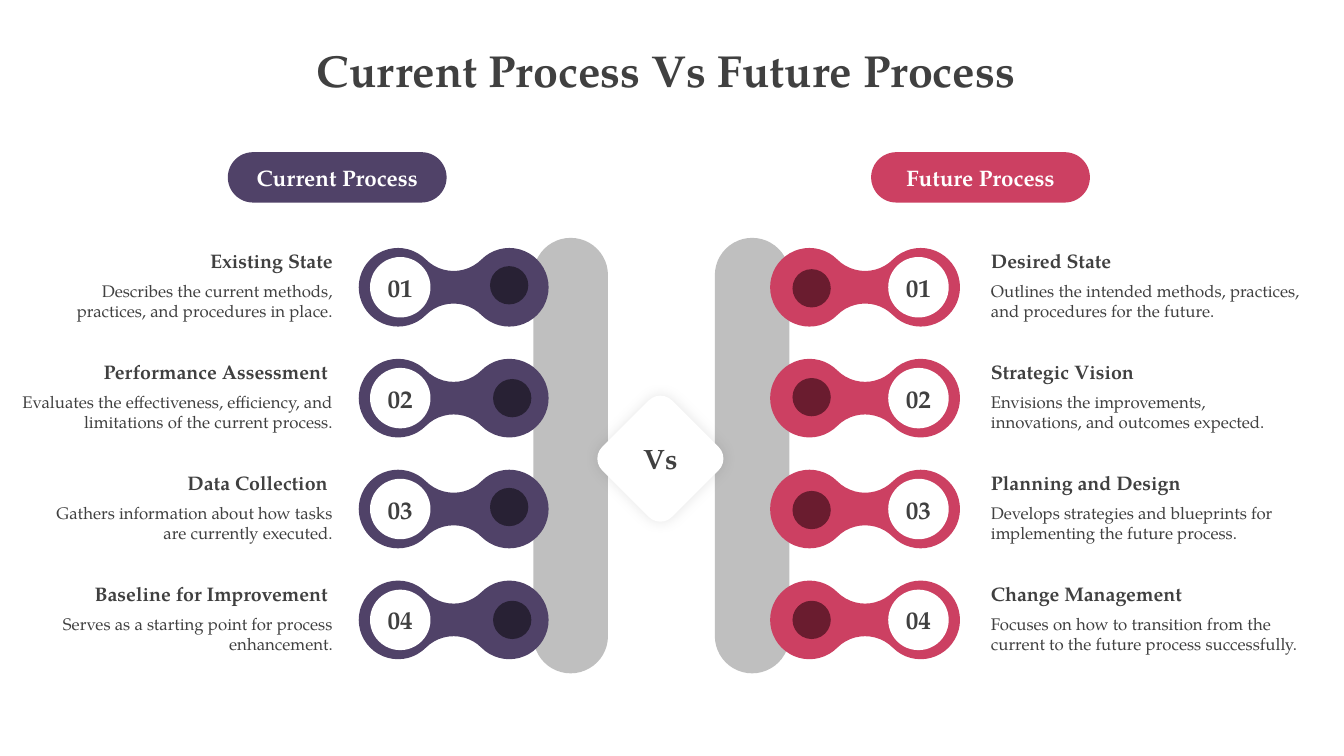
"""Builds a slide that compares the current process with the future process."""
import math
from itertools import pairwise

from lxml import etree
from pptx import Presentation
from pptx.dml.color import RGBColor
from pptx.enum import shapes, text
from pptx.oxml import ns
from pptx.util import Inches, Pt

TITLE = "Current Process Vs Future Process "
COLORS = {"ink": "404040", "white": "FFFFFF", "bar": "BFBFBF", "shadow": "000000"}
FONT = "TeX Gyre Pagella"
LEFT, CENTER, RIGHT = text.PP_ALIGN.LEFT, text.PP_ALIGN.CENTER, text.PP_ALIGN.RIGHT

SIDES = [
    {
        "heading": "Current Process", "fill": "504268", "dot": "282134",
        "align": RIGHT, "pill": 2.26, "bar": 5.29, "link": 4.5,
        "badge": 3.97, "edge": 3.4,
        "items": [
            ("Existing State", "Describes the current methods, practices, and procedures in place.",
             3.01, (5.05, -0.02)),
            ("Performance Assessment ", "Evaluates the effectiveness, efficiency, and limitations of the current process.",
             3.28, (5.08, 0)),
            ("Data Collection ", "Gathers information about how tasks are currently executed.",
             3.01, (5.05, -0.02)),
            ("Baseline for Improvement ", "Serves as a starting point for process enhancement.",
             3.01, (5.08, 0)),
        ],
    },
    {
        "heading": "Future Process", "fill": "CC4062", "dot": "6A1C2F",
        "align": LEFT, "pill": 8.64, "bar": 7.09, "link": 8.58,
        "badge": 9.11, "edge": 9.73,
        "items": [
            ("Desired State", "Outlines the intended methods, practices, and procedures for the future.",
             3.48, (8.05, 0.01)),
            ("Strategic Vision", "Envisions the improvements, innovations, and outcomes expected.",
             3.21, (8.05, -0.01)),
            ("Planning and Design", "Develops strategies and blueprints for implementing the future process.",
             3.21, (8.05, 0.01)),
            ("Change Management", "Focuses on how to transition from the current to the future process successfully.",
             3.48, (8.05, 0)),
        ],
    },
]

FIRST_ROW, ROW_PITCH = 2.85, 1.1
LINK_RADIUS = Inches(0.39)
BADGE, DOT = 0.6, 0.38
LINK_ARCS = [(1, 0, (-135, -90, 0, 90, 135)), (0, 1, (-45, -135)),
             (-1, 0, (45, 90, 180, 270, 315)), (0, -1, (135, 45))]

prs = Presentation()
prs.slide_width, prs.slide_height = Inches(13.33), Inches(7.5)
slide = prs.slides.add_slide(prs.slide_layouts[5])


def rgb(color):
    return RGBColor.from_string(COLORS.get(color, color))


def write(frame, lines, align, margin=0.1, **frame_format):
    """Fill a text frame with (words, size, bold, color, space after) lines."""
    settings = {"word_wrap": True, "auto_size": text.MSO_AUTO_SIZE.NONE,
                "margin_left": Inches(margin), "margin_right": Inches(margin), **frame_format}
    for name, value in settings.items():
        setattr(frame, name, value)
    for index, (words, size, bold, color, after) in enumerate(lines):
        line = frame.add_paragraph() if index else frame.paragraphs[0]
        line.alignment, line.space_after = align, Pt(after)
        run = line.add_run()
        run.text = words
        for name, value in {"size": Pt(size), "bold": bold, "name": FONT}.items():
            setattr(run.font, name, value)
        run.font.color.rgb = rgb(color)


def paint(part, color):
    part.shadow.inherit = False
    part.fill.solid()
    part.fill.fore_color.rgb = rgb(color)
    part.line.fill.background()
    return part


def add_preset(kind, left, top, width, height, color):
    return paint(slide.shapes.add_shape(
        kind, Inches(left), Inches(top), Inches(width), Inches(height)), color)


def add_circle(x, y, size, color):
    return add_preset(shapes.MSO_SHAPE.OVAL, x - size / 2, y - size / 2, size, size, color)


def add_pill(left, top, width, height, color):
    pill = add_preset(shapes.MSO_SHAPE.ROUNDED_RECTANGLE, left, top, width, height, color)
    pill.adjustments[0] = 0.5
    return pill


def add_link(x, y, color):
    """Join two round lobes by a waist made of arcs with the same radius."""
    offset = LINK_RADIUS * math.sqrt(2)

    def on_arc(dx, dy, angle):
        turn = math.radians(angle)
        return (round(Inches(x) + dx * offset + LINK_RADIUS * math.cos(turn)),
                round(Inches(y) + dy * offset + LINK_RADIUS * math.sin(turn)))

    sweeps = [(dx, dy, start, end) for dx, dy, angles in LINK_ARCS
              for start, end in pairwise(angles)]
    outline = slide.shapes.build_freeform(*on_arc(*sweeps[0][:3]))
    outline.add_line_segments([on_arc(dx, dy, end) for dx, dy, _, end in sweeps], close=True)
    link = paint(outline.convert_to_shape(), color)
    segments = list(link._element.iter(ns.qn("a:lnTo")))
    for segment, (_, _, start, end) in zip(segments, sweeps):
        arc = etree.Element(ns.qn("a:arcTo"), wR=str(LINK_RADIUS), hR=str(LINK_RADIUS),
                            stAng=str(start % 360 * 60000), swAng=str((end - start) * 60000))
        segment.getparent().replace(segment, arc)


def add_text(left, top, width, height, lines, align, **frame_format):
    box = slide.shapes.add_textbox(Inches(left), Inches(top), Inches(width), Inches(height))
    write(box.text_frame, lines, align, **frame_format)


def add_glow(part, color, blur, alpha):
    effects = part._element.spPr.find(ns.qn("a:effectLst"))
    shadow = etree.SubElement(effects, ns.qn("a:outerShdw"), blurRad=str(Pt(blur)),
                              dist="0", dir="0", algn="ctr", rotWithShape="0")
    tint = etree.SubElement(shadow, ns.qn("a:srgbClr"), val=COLORS[color])
    etree.SubElement(tint, ns.qn("a:alpha"), val=str(alpha * 1000))


title = slide.shapes.title
for name, value in {"left": 0, "top": 0.37, "width": 13.33, "height": 0.64}.items():
    setattr(title, name, Inches(value))
write(title.text_frame, [(TITLE, 32, True, "ink", 0)], CENTER,
      vertical_anchor=text.MSO_ANCHOR.MIDDLE)

for side in SIDES:
    add_pill(side["bar"], 2.36, 0.74, 4.32, "bar")
    heading = add_pill(side["pill"], 1.51, 2.17, 0.5, side["fill"])
    write(heading.text_frame, [(side["heading"], 16, True, "white", 0)], CENTER,
          vertical_anchor=text.MSO_ANCHOR.MIDDLE)
    for index, (name, detail, width, (dot_x, dot_shift)) in enumerate(side["items"]):
        y = FIRST_ROW + index * ROW_PITCH
        add_link(side["link"], y, side["fill"])
        add_circle(dot_x, y + dot_shift, DOT, side["dot"])
        badge = add_circle(side["badge"], y, BADGE, "white")
        write(badge.text_frame, [(f"{index + 1:02}", 18, True, "ink", 0)], CENTER, margin=0,
              word_wrap=False, vertical_anchor=text.MSO_ANCHOR.MIDDLE)
        left = side["edge"] - (width if side["align"] == RIGHT else 0)
        add_text(left, y - 0.43, width, 0.82,
                 [(name, 14, True, "ink", 6), (detail, 12, False, "ink", 0)], side["align"])

diamond = add_preset(shapes.MSO_SHAPE.ROUNDED_RECTANGLE, 6.06, 4.06, 0.98, 0.98, "white")
diamond.rotation = 315
add_glow(diamond, "shadow", 10, 10)
add_text(6.25, 4.33, 0.6, 0.44, [("Vs", 20, True, "ink", 0)], CENTER, word_wrap=False)

prs.save("out.pptx")
